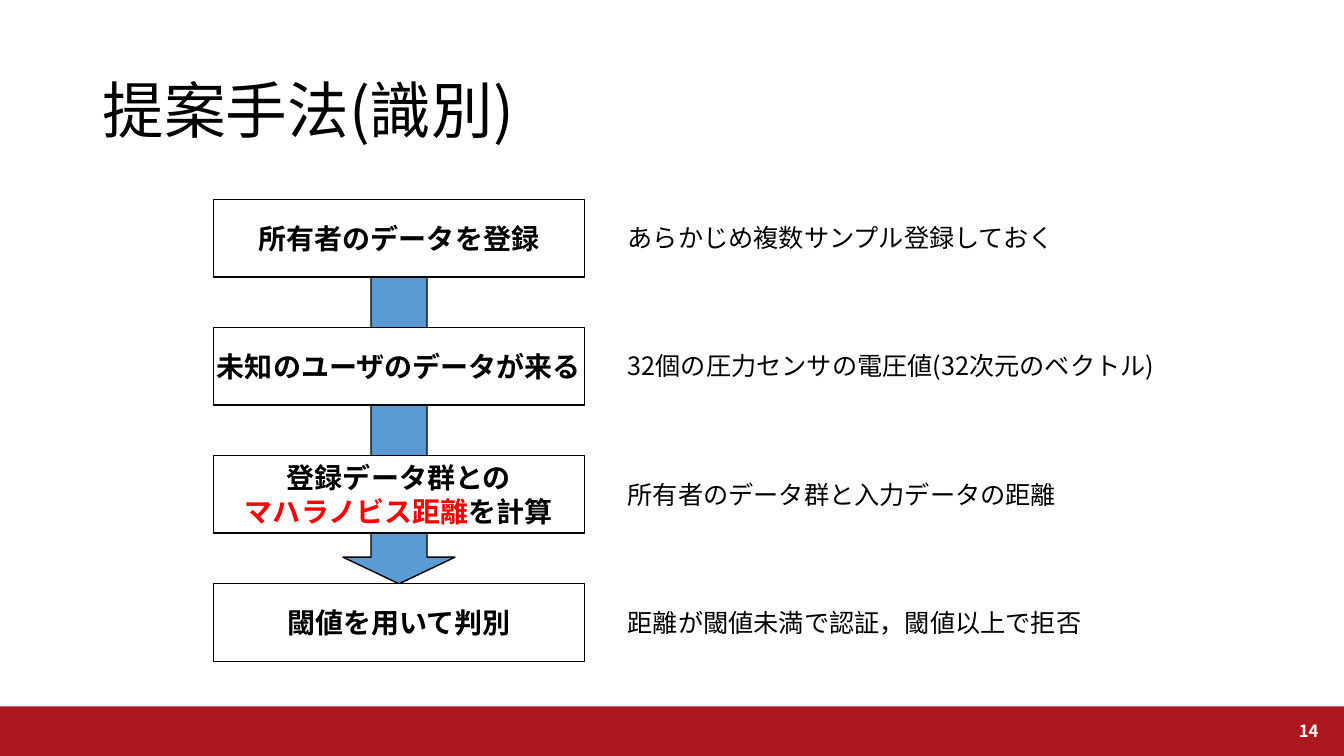
from pptx import Presentation
from pptx.dml.color import RGBColor
from pptx.enum import shapes, text
from pptx.oxml import parse_xml
from pptx.oxml import ns
from pptx.util import Pt

FONT = "Noto Sans CJK JP"
COLORS = {"ink": "000000", "paper": "FFFFFF", "alert": "FF0000",
          "arrow": "5B9BD5", "footer": "AC181E"}
STEPS = [
    ([[("所有者のデータを登録", "ink")]],
     "あらかじめ複数サンプル登録しておく"),
    ([[("未知のユーザのデータが来る", "ink")]],
     "32個の圧力センサの電圧値(32次元のベクトル)"),
    ([[("登録データ群との", "ink")],
      [("マハラノビス距離", "alert"), ("を計算", "ink")]],
     "所有者のデータ群と入力データの距離"),
    ([[("閾値を用いて判別", "ink")]],
     "距離が閾値未満で認証，閾値以上で拒否"),
]
STEP_HEIGHT, STEP_PITCH = 55.4, 91.5
ARROW_WIDTH = 80
ARROW_SPANS = [(55, 75), (55, 75), (53.5, 38)]


def rgb(name):
    """Return the named palette colour."""
    return RGBColor.from_string(COLORS[name])


def write(frame, lines, size, bold=False, align=text.PP_ALIGN.LEFT,
          anchor=text.MSO_ANCHOR.MIDDLE, inset=None, spacing=None):
    """Fill a text frame with lines of coloured runs."""
    settings = {"word_wrap": True, "vertical_anchor": anchor}
    if inset is not None:
        settings.update({"margin_" + side: Pt(inset)
                         for side in ("left", "right", "top", "bottom")})
    for key, value in settings.items():
        setattr(frame, key, value)
    for index, line in enumerate(lines):
        paragraph = frame.add_paragraph() if index else frame.paragraphs[0]
        paragraph.alignment = align
        paragraph.line_spacing = spacing
        for words, color in line:
            run = paragraph.add_run()
            run.text = words
            for key, value in {"name": FONT, "size": Pt(size), "bold": bold}.items():
                setattr(run.font, key, value)
            run.font.color.rgb = rgb(color)
            run.font.fill._xPr.find(ns.qn("a:latin")).addnext(parse_xml(
                f'<a:ea {ns.nsdecls("a")} typeface="{FONT}"/>'))


def add_block(slide, preset, box, fill, outlined=True):
    """Draw a flat filled shape in the box."""
    block = slide.shapes.add_shape(preset, *map(Pt, box))
    block.shadow.inherit = False
    block.fill.solid()
    block.fill.fore_color.rgb = rgb(fill)
    if outlined:
        block.line.color.rgb = rgb("ink")
        block.line.width = Pt(1)
    else:
        block.line.fill.background()
    return block


def add_title(slide, left, top, width, height):
    """Place the slide heading."""
    heading = slide.shapes.title
    for key, value in {"left": left, "top": top, "width": width, "height": height}.items():
        setattr(heading, key, Pt(value))
    write(heading.text_frame, [[("提案手法(識別)", "ink")]], 44, spacing=0.9)


def add_footer(slide, left, top, width, height):
    """Draw the footer band with the page number."""
    add_block(slide, shapes.MSO_SHAPE.RECTANGLE, (left, top, width, height),
              "footer", outlined=False)
    number = slide.shapes.add_textbox(
        *map(Pt, (left + width - 77, top, 66, height)))
    write(number.text_frame, [[("14", "paper")]], 12, True, text.PP_ALIGN.RIGHT)


def add_flow(slide, left, top, width):
    """Draw the linked steps from top to bottom."""
    for index, (offset, length) in reversed(list(enumerate(ARROW_SPANS))):
        start = top + index * STEP_PITCH + offset
        arrow = add_block(slide, shapes.MSO_SHAPE.RIGHT_ARROW,
                          (left + (width - length) / 2,
                           start + (length - ARROW_WIDTH) / 2,
                           length, ARROW_WIDTH), "arrow")
        arrow.rotation = 90
    for index, (label, _) in enumerate(STEPS):
        step = add_block(slide, shapes.MSO_SHAPE.RECTANGLE,
                         (left, top + index * STEP_PITCH, width, STEP_HEIGHT), "paper")
        write(step.text_frame, label, 20, True, text.PP_ALIGN.CENTER, inset=0)


def add_notes_column(slide, left, top, width):
    """Write the explanation beside each step."""
    for index, (_, remark) in enumerate(STEPS):
        remark_box = slide.shapes.add_textbox(
            *map(Pt, (left, top + index * STEP_PITCH, width, 29)))
        write(remark_box.text_frame, [[(remark, "ink")]], 18,
              anchor=text.MSO_ANCHOR.TOP)


def main():
    """Build and save the slide."""
    deck = Presentation()
    deck.slide_width, deck.slide_height = Pt(960), Pt(540)
    slide = deck.slides.add_slide(deck.slide_layouts[5])
    add_footer(slide, 0, 504.5, 960, 35.5)
    add_title(slide, 66, 28.75, 828, 104.4)
    add_flow(slide, 152.5, 142.5, 265)
    add_notes_column(slide, 441.3, 155.5, 420)
    deck.save("out.pptx")


if __name__ == "__main__":
    main()
